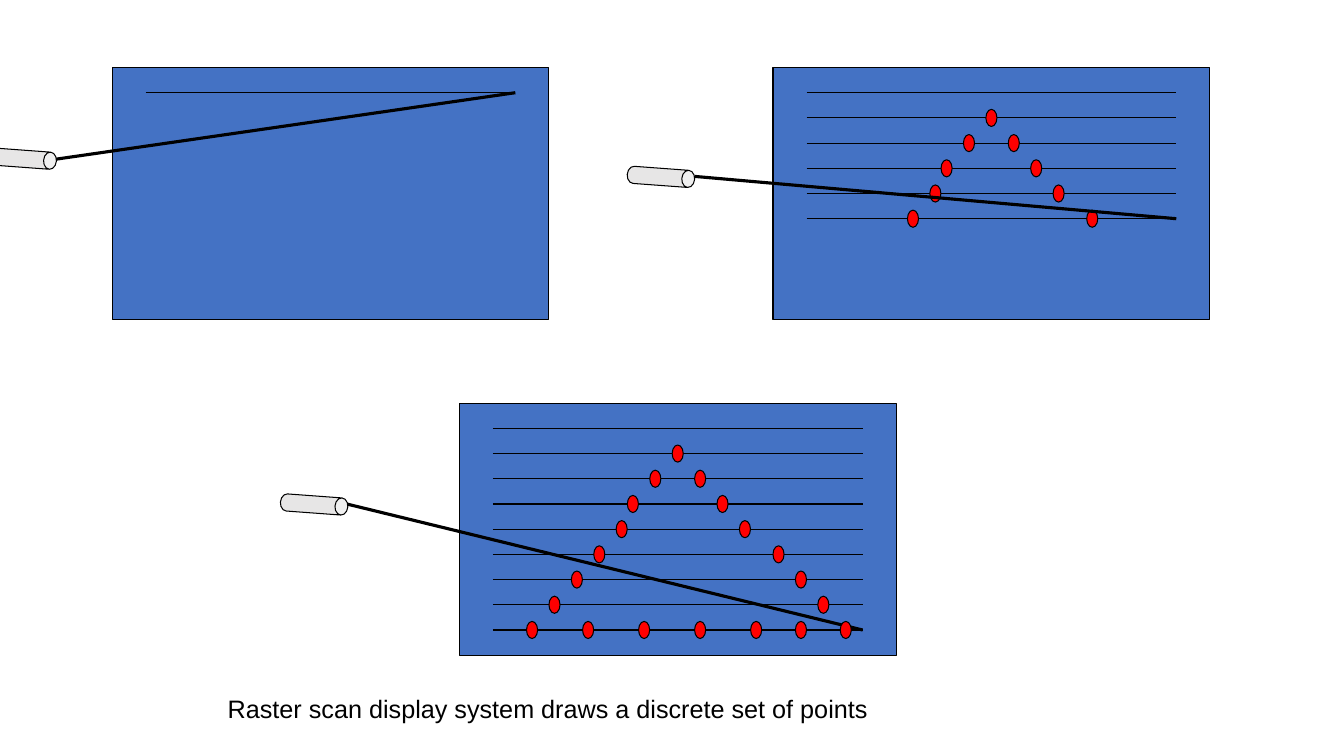
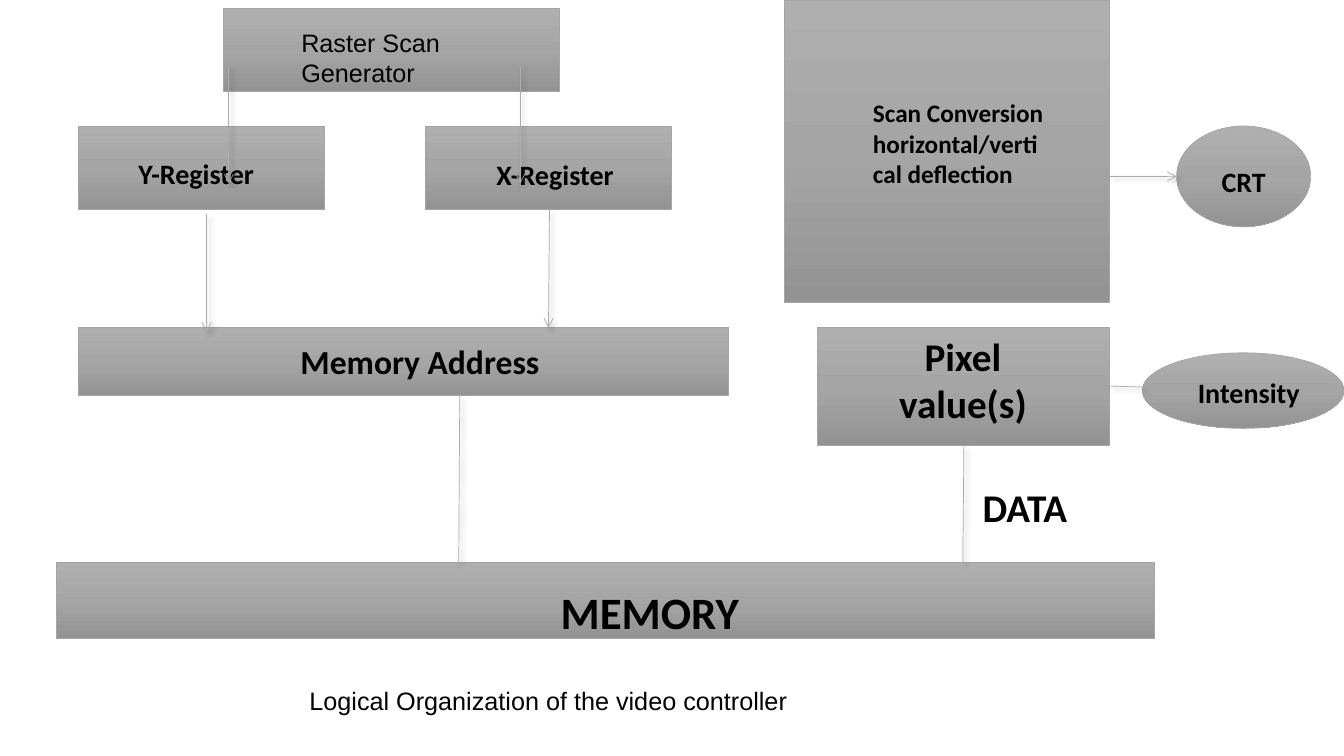
"""Builds two slides on raster scan displays and the video controller."""
from copy import deepcopy

from lxml.etree import SubElement
from pptx import Presentation
from pptx.dml.color import RGBColor
from pptx.enum.shapes import MSO_CONNECTOR, MSO_SHAPE
from pptx.enum.text import MSO_AUTO_SIZE, PP_ALIGN
from pptx.oxml.ns import qn
from pptx.util import Inches, Pt

BLACK = RGBColor(0x00, 0x00, 0x00)
SCREEN_BLUE = RGBColor(0x44, 0x72, 0xC4)
DOT_RED = RGBColor(0xFF, 0x00, 0x00)
GUN_GREY = RGBColor(0xE7, 0xE6, 0xE6)
WIRE_GREY = RGBColor(0xAF, 0xAB, 0xAB)
BLOCK_EDGE = RGBColor(0xA5, 0xA5, 0xA5)
BLOCK_STOPS = [(0, RGBColor(0xAF, 0xAF, 0xAF)), (0.5, BLOCK_EDGE),
               (1, RGBColor(0x93, 0x93, 0x93))]

COLUMN = 1 / 9
ROW = 0.25
SCREEN_COLUMNS, SCREEN_ROWS = 39, 10
MARGIN_COLUMNS = 3
DOT_WIDTH, DOT_HEIGHT = 0.11, 0.17
GUN_WIDTH, GUN_LENGTH, GUN_ANGLE = 0.17, 0.67, 94.2

DOT_COLUMNS = [(), (19,), (17, 21), (15, 23), (14, 25), (12, 28), (10, 30), (8, 32),
               (6, 11, 16, 21, 26, 30, 34)]
SCREENS = [
    {"column": 10, "top": 0.67, "lines": 1, "last_row": 0,
     "gun": (0.14, 1.24), "muzzle": (0.55, 1.58), "beam_in_front": True},
    {"column": 69, "top": 0.67, "lines": 6, "last_row": 5,
     "gun": (6.47, 1.42), "muzzle": (6.89, 1.75), "beam_in_front": True},
    {"column": 41, "top": 4, "lines": 10, "last_row": 8,
     "gun": (3.03, 4.67), "muzzle": (3.44, 5), "beam_in_front": False},
]
SCAN_CAPTION = ("Raster scan display system draws a discrete set of points",
                (2.16, 6.83, 6.61, 0.4))

RECT, OVAL = MSO_SHAPE.RECTANGLE, MSO_SHAPE.OVAL
BLOCKS = [
    (RECT, (0.78, 1.25, 2.44, 0.83)),
    (RECT, (4.22, 1.25, 2.44, 0.83)),
    (RECT, (7.78, 0, 3.22, 3)),
    (RECT, (0.78, 3.25, 6.44, 0.67)),
    (RECT, (8.11, 3.25, 2.89, 1.17)),
    (RECT, (0.56, 5.58, 10.89, 0.75)),
    (OVAL, (11.33, 3.5, 2, 0.75)),
    (OVAL, (11.67, 1.25, 1.33, 1)),
    (RECT, (2.22, 0.08, 3.33, 0.83)),
]
CENTER, LEFT = PP_ALIGN.CENTER, PP_ALIGN.LEFT
BLOCK_LABELS = [
    ("Y-Register", (1, 1.5, 1.89, 0.43), 20, CENTER),
    ("X-Register", (4.56, 1.51, 1.89, 0.43), 20, CENTER),
    ("Memory Address", (2.33, 3.33, 3.67, 0.5), 24, CENTER),
    ("Scan Conversion horizontal/vertical deflection", (8.56, 0.92, 1.89, 1.01), 18, LEFT),
    ("Pixel value(s)", (8.44, 3.25, 2.22, 1.03), 28, CENTER),
    ("CRT", (11.89, 1.58, 0.89, 0.43), 20, CENTER),
    ("Intensity", (11.44, 3.68, 1.89, 0.43), 20, CENTER),
    ("MEMORY", (2, 5.75, 8.89, 0.63), 32, CENTER),
    ("DATA", (9.22, 4.75, 1.89, 0.57), 28, CENTER),
]
CONTROLLER_CAPTIONS = [
    ("Logical Organization of the video controller", (2.97, 6.75, 4.98, 0.4)),
    ("Raster Scan\nGenerator", (2.89, 0.22, 1.66, 0.71)),
]
PLAIN_WIRES = [
    ((4.56, 3.91), (4.55, 5.59)),
    ((9.56, 4.42), (9.55, 5.58)),
    ((11, 3.83), (11.33, 3.84)),
]
ARROW_WIRES = [
    ((5.45, 2.08), (5.44, 3.25)),
    ((2.05, 2.12), (2.05, 3.29)),
    ((11, 1.75), (11.67, 1.75)),
    ((2.27, 0.66), (2.27, 1.82)),
    ((5.16, 0.66), (5.16, 1.82)),
]


def add_outlined(slide, kind, box, edge=BLACK, weight=0.75, fill=None):
    shape = slide.shapes.add_shape(kind, *map(Inches, box))
    shape.shadow.inherit = False
    shape.line.color.rgb = edge
    shape.line.width = Pt(weight)
    if fill is not None:
        shape.fill.solid()
        shape.fill.fore_color.rgb = fill
    return shape


def add_line(slide, start, end, color=BLACK, weight=0.75):
    """Adds a straight line and returns it with its empty effect list."""
    line = slide.shapes.add_connector(MSO_CONNECTOR.STRAIGHT, *map(Inches, start + end))
    line.line.color.rgb = color
    line.line.width = Pt(weight)
    return line, SubElement(line._element.spPr, qn("a:effectLst"))


def add_text(slide, text, box, size=18, font="Arial", align=LEFT, bold=False, wrap=False):
    frame = slide.shapes.add_textbox(*map(Inches, box)).text_frame
    frame.word_wrap = wrap
    frame.auto_size = MSO_AUTO_SIZE.SHAPE_TO_FIT_TEXT
    frame.text = text
    for paragraph in frame.paragraphs:
        paragraph.alignment = align
        paragraph.font.size = Pt(size)
        paragraph.font.name = font
        paragraph.font.bold = bold
        paragraph.font.color.rgb = BLACK


def add_dots(slide, left, top, last_row):
    for row, columns in enumerate(DOT_COLUMNS[:last_row + 1], 1):
        for column in columns:
            box = (left + column * COLUMN, top + row * ROW - DOT_HEIGHT / 2,
                   DOT_WIDTH, DOT_HEIGHT)
            add_outlined(slide, OVAL, box, fill=DOT_RED)


def add_screen(slide, screen):
    left, top = screen["column"] * COLUMN, screen["top"]
    add_outlined(slide, RECT, (left, top, SCREEN_COLUMNS * COLUMN, SCREEN_ROWS * ROW),
                 fill=SCREEN_BLUE)
    line_left = left + MARGIN_COLUMNS * COLUMN
    line_right = left + (SCREEN_COLUMNS - MARGIN_COLUMNS) * COLUMN
    for row in range(1, screen["lines"] + 1):
        y = top + row * ROW
        add_line(slide, (line_left, y), (line_right, y))
    target = (line_right, top + (screen["last_row"] + 1) * ROW)
    if screen["beam_in_front"]:
        add_dots(slide, left, top, screen["last_row"])
    add_line(slide, screen["muzzle"], target, weight=2.25)
    if not screen["beam_in_front"]:
        add_dots(slide, left, top, screen["last_row"])
    gun = add_outlined(slide, MSO_SHAPE.CAN, screen["gun"] + (GUN_WIDTH, GUN_LENGTH),
                       fill=GUN_GREY)
    gun.adjustments[0] = 0.75
    gun.rotation = GUN_ANGLE


def add_block(slide, kind, box):
    block = add_outlined(slide, kind, box, BLOCK_EDGE, 0.5)
    block.fill.gradient()
    block.fill.gradient_angle = 270
    stop_list = block._element.spPr.find(".//" + qn("a:gsLst"))
    stop_list.append(deepcopy(stop_list[0]))
    for stop, (position, color) in zip(block.fill.gradient_stops, BLOCK_STOPS):
        stop.position = position
        stop.color.rgb = color


def add_wire(slide, start, end, arrow):
    wire, effects = add_line(slide, start, end, WIRE_GREY, 0.5)
    shadow = SubElement(effects, qn("a:outerShdw"), blurRad=str(Pt(4)), dist=str(Pt(3)),
                        dir="2700000", algn="tl", rotWithShape="0")
    shade = SubElement(shadow, qn("a:srgbClr"), val=str(BLACK))
    SubElement(shade, qn("a:alpha"), val="40000")
    if arrow:
        SubElement(wire._element.spPr.find(qn("a:ln")), qn("a:tailEnd"), type="arrow")


def build_scan_slide(slide):
    for screen in SCREENS:
        add_screen(slide, screen)
    add_text(slide, *SCAN_CAPTION)


def build_controller_slide(slide):
    for kind, box in BLOCKS:
        add_block(slide, kind, box)
    for text, box, size, align in BLOCK_LABELS:
        add_text(slide, text, box, size, "Calibri", align, bold=True, wrap=True)
    for text, box in CONTROLLER_CAPTIONS:
        add_text(slide, text, box)
    for wires, arrow in ((PLAIN_WIRES, False), (ARROW_WIRES, True)):
        for start, end in wires:
            add_wire(slide, start, end, arrow)


def main():
    deck = Presentation()
    deck.slide_width, deck.slide_height = Inches(13.33), Inches(7.5)
    blank = deck.slide_layouts[6]
    for build in (build_scan_slide, build_controller_slide):
        build(deck.slides.add_slide(blank))
    deck.save("out.pptx")


if __name__ == "__main__":
    main()
